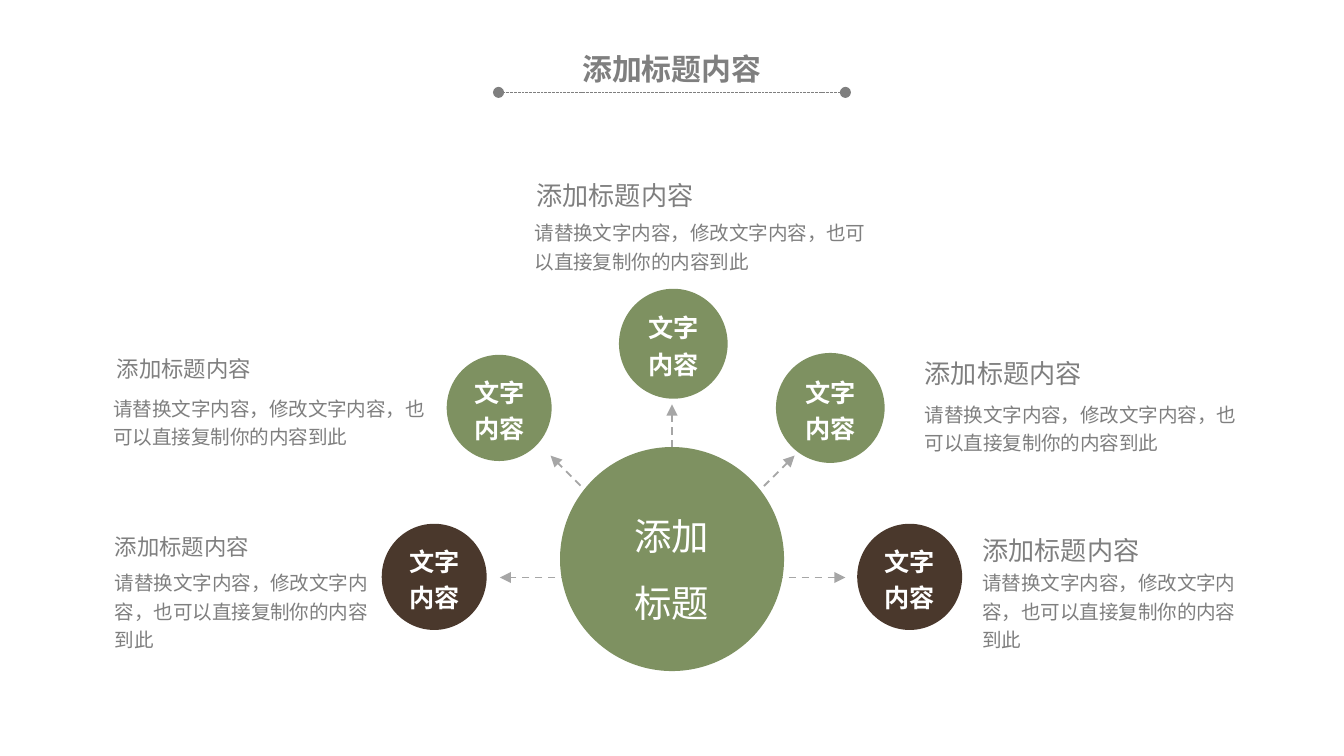
from dataclasses import dataclass

from lxml import etree
from pptx import Presentation
from pptx.dml import color
from pptx.enum import dml, shapes, text
from pptx.oxml import ns
from pptx.util import Pt


@dataclass(frozen=True)
class Theme:
    font: str = "Noto Sans CJK SC"
    green: str = "7E9161"
    brown: str = "4A382C"
    grey: str = "7F7F7F"
    arrow: str = "A6A6A6"
    white: str = "FFFFFF"
    title: float = 16
    hub: float = 20
    label: float = 13.5
    body: float = 10.5
    heading_large: float = 14
    heading_small: float = 12


@dataclass(frozen=True)
class Box:
    left: float
    top: float
    width: float
    height: float

    def inner(self, left, top, width, height):
        return Box(self.left + left, self.top + top, width, height)

    def lengths(self):
        return [Pt(value) for value in (self.left, self.top, self.width, self.height)]


@dataclass(frozen=True)
class Topic:
    circle: Box
    fill: str
    outline: float
    tip: tuple
    note: Box
    heading_size: float
    heading_indent: float
    body_top: float


THEME = Theme()
HEADING = "添加标题内容"
BODY = "请替换文字内容，修改文字内容，也可以直接复制你的内容到此"
LABEL = "文字内容"
HUB_BOX = Box(301, 240.5, 118, 118)
SPOKE_START = (360, 309.4)


def circle_box(left, top):
    return Box(left, top, 56.2, 56.9)


TOPICS = [
    Topic(circle_box(204.5, 280.6), THEME.brown, 0, (267.8, 309.4),
          Box(61.5, 283, 143.3, 66.7), THEME.heading_small, 0, 20.6),
    Topic(circle_box(239.3, 190.1), THEME.green, 0, (295, 244.1),
          Box(60.8, 187.2, 174.2, 53), THEME.heading_small, 1.8, 22.8),
    Topic(circle_box(332.6, 155.7), THEME.green, 2, (360, 216.7),
          Box(286.4, 92.9, 178.6, 53.4), THEME.heading_large, 1, 23.2),
    Topic(circle_box(416.7, 190.1), THEME.green, 2, (425.7, 244.1),
          Box(495.4, 187.9, 174.2, 55.4), THEME.heading_large, 0, 25.2),
    Topic(circle_box(459.2, 280.6), THEME.brown, 0, (452.9, 309.4),
          Box(526.3, 283, 143.3, 66.7), THEME.heading_large, 0, 20.6),
]


def rgb(value):
    return color.RGBColor.from_string(value)


def add_text(slide, content, box, *, size, fill=THEME.grey, bold=False, centered=False,
             spacing=1.2, after=0, insets=(0, 0)):
    frame = slide.shapes.add_textbox(*box.lengths()).text_frame
    frame.word_wrap = True
    frame.auto_size = text.MSO_AUTO_SIZE.SHAPE_TO_FIT_TEXT
    frame.margin_left = frame.margin_right = Pt(insets[0])
    frame.margin_top = frame.margin_bottom = Pt(insets[1])
    frame.text = content
    for paragraph in frame.paragraphs:
        paragraph.alignment = text.PP_ALIGN.CENTER if centered else text.PP_ALIGN.LEFT
        paragraph.line_spacing = spacing
        paragraph.space_after = Pt(after)
        for run in paragraph.runs:
            run.font.size = Pt(size)
            run.font.bold = bold
            run.font.name = THEME.font
            run.font.color.rgb = rgb(fill)
            east_asian = etree.SubElement(run.font._element, ns.qn("a:ea"))
            east_asian.set("typeface", THEME.font)


def add_round(slide, kind, box, fill, outline=0):
    shape = slide.shapes.add_shape(kind, *box.lengths())
    shape.shadow.inherit = False
    shape.fill.solid()
    shape.fill.fore_color.rgb = rgb(fill)
    if outline:
        shape.line.color.rgb = rgb(fill)
        shape.line.width = Pt(outline)
    else:
        shape.line.fill.background()
    return shape


def add_line(slide, start, end, *, fill, width, dash, head=None, tail=None):
    line = slide.shapes.add_connector(
        shapes.MSO_CONNECTOR.STRAIGHT, *[Pt(value) for value in (*start, *end)])
    line.line.color.rgb = rgb(fill)
    line.line.width = Pt(width)
    line.line.dash_style = dash
    properties = line._element.spPr
    outline = properties.find(ns.qn("a:ln"))
    for tag, ending in (("a:headEnd", head), ("a:tailEnd", tail)):
        if ending:
            etree.SubElement(outline, ns.qn(tag)).set("type", ending)
    etree.SubElement(properties, ns.qn("a:effectLst"))


def add_header(slide, box):
    # Title above a dotted rule with round ends
    add_text(slide, HEADING, box.inner(26.6, 0, 132.5, 24.5), size=THEME.title, bold=True,
             centered=True, spacing=1, after=5.2, insets=(5, 2.9))
    rule_top = box.top + box.height
    add_line(slide, (box.left + box.width, rule_top), (box.left, rule_top),
             fill=THEME.grey, width=0.5, dash=dml.MSO_LINE.SQUARE_DOT,
             head="oval", tail="oval")


def add_hub(slide, box):
    # Central disc, its ring and the two-line caption
    add_round(slide, shapes.MSO_SHAPE.OVAL, box.inner(9.7, 9.7, 98.6, 98.6), THEME.green, 2)
    ring = add_round(slide, shapes.MSO_SHAPE.DONUT, box, THEME.green, 2)
    ring.adjustments[0] = 0.1
    add_text(slide, "添加\n标题", box.inner(20.3, 18.7, 77, 79.9), size=THEME.hub,
             fill=THEME.white, centered=True, spacing=1.5, insets=(7.2, 3.6))


def add_satellite(slide, box, fill, outline):
    add_round(slide, shapes.MSO_SHAPE.OVAL, box, fill, outline)
    add_text(slide, LABEL, box.inner(1.3, 5.1, 54, 46.8), size=THEME.label, fill=THEME.white,
             bold=True, centered=True, insets=(7.9, 3.6))


def add_note(slide, box, heading_size, indent, body_top):
    add_text(slide, HEADING, box.inner(indent, 0, box.width, heading_size * 1.44),
             size=heading_size)
    add_text(slide, BODY, box.inner(0, body_top, box.width, box.height - body_top),
             size=THEME.body)


def main():
    presentation = Presentation()
    presentation.slide_width, presentation.slide_height = Pt(720), Pt(405)
    slide = presentation.slides.add_slide(presentation.slide_layouts[6])

    # Spokes lie behind the hub
    for topic in TOPICS:
        add_line(slide, SPOKE_START, topic.tip, fill=THEME.arrow, width=1,
                 dash=dml.MSO_LINE.DASH, tail="triangle")
    add_hub(slide, HUB_BOX)

    # Satellites and their notes
    for topic in TOPICS:
        add_satellite(slide, topic.circle, topic.fill, topic.outline)
        add_note(slide, topic.note, topic.heading_size, topic.heading_indent, topic.body_top)

    add_header(slide, Box(267.1, 24.5, 185.8, 25))
    presentation.save("out.pptx")


if __name__ == "__main__":
    main()
